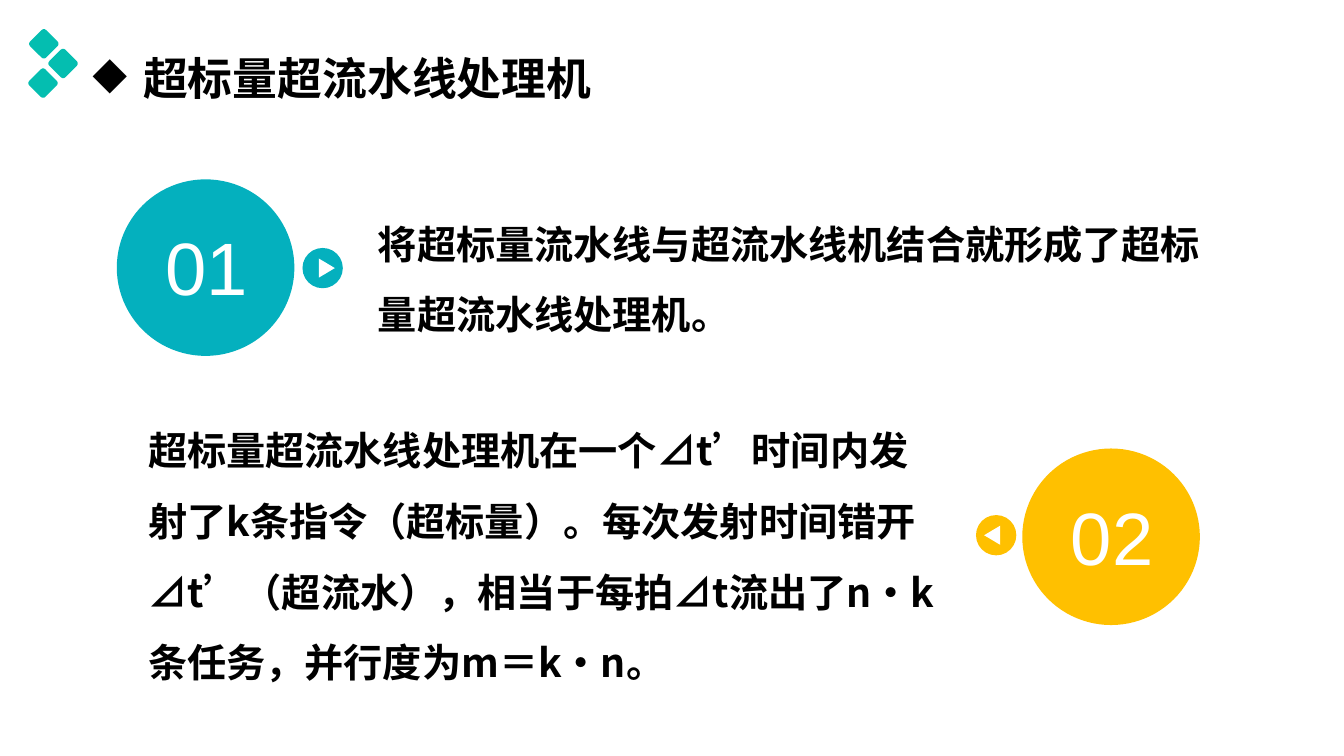
from lxml.etree import SubElement
from pptx import Presentation
from pptx.dml.color import RGBColor
from pptx.enum.shapes import MSO_SHAPE
from pptx.enum.text import MSO_ANCHOR, PP_ALIGN
from pptx.oxml.ns import qn
from pptx.util import Inches, Pt

WIDE, HIGH = Inches(13.33), Inches(7.5)
HUES = {"ink": "000000", "white": "FFFFFF", "teal": "04B0BE",
        "gold": "FFC000", "mint": "04BEB0"}
HAN = "Noto Sans CJK SC"


def area(left, top, width, height):
    return [round(WIDE * left / 100), round(HIGH * top / 100),
            round(WIDE * width / 100), round(HIGH * height / 100)]


def tint(hue):
    return RGBColor.from_string(HUES[hue])


def write(frame, text, size=28, font=HAN, hue="ink", bold=True,
          align=PP_ALIGN.LEFT, gap=1.5, mark=None):
    frame.word_wrap = True
    para = frame.paragraphs[0]
    if mark:
        props = para._p.get_or_add_pPr()
        props.set("marL", str(Inches(0.5)))
        props.set("indent", str(-Inches(0.5)))
        SubElement(props, qn("a:buChar")).set("char", mark)
    para.alignment = align
    para.line_spacing = gap
    para.space_before = Pt(0)
    run = para.add_run()
    run.text = text
    run.font.size = Pt(size)
    run.font.name = font
    run.font.bold = bold
    run.font.color.rgb = tint(hue)
    SubElement(run._r.get_or_add_rPr(), qn("a:ea")).set("typeface", font)


def label(slide, box, text, **form):
    write(slide.shapes.add_textbox(*area(*box)).text_frame, text, **form)


def solid(slide, kind, box, hue, turn=0, edge=0):
    shape = slide.shapes.add_shape(kind, *area(*box))
    shape.shadow.inherit = False
    shape.fill.solid()
    shape.fill.fore_color.rgb = tint(hue)
    shape.rotation = turn
    if edge:
        shape.line.color.rgb = tint(hue)
        shape.line.width = Pt(edge)
    else:
        shape.line.fill.background()
    return shape


def disc(slide, left, top, text, hue):
    solid(slide, MSO_SHAPE.OVAL, (left, top, 12.9, 22.8), hue, edge=3)
    label(slide, (left + 1.95, top + 4.67, 9.15, 13.2), text, size=53,
          font="Arial", hue="white", bold=False, align=PP_ALIGN.CENTER, gap=1)


def badge(slide, left, top, hue, way):
    solid(slide, MSO_SHAPE.OVAL, (left, top, 3, 5.33), hue)
    solid(slide, MSO_SHAPE.ISOSCELES_TRIANGLE,
          (left + 0.79 + 0.3 * way, top + 1.6, 1.43, 2.13), "white", turn=90 * way)


def tiles(slide):
    for row, left in enumerate((2.42, 3.85, 2.36)):
        tile = solid(slide, MSO_SHAPE.ROUNDED_RECTANGLE,
                     (left, 4.3 + 2.6 * row, 1.69, 3), "mint", turn=45)
        tile.adjustments[0] = 0.14


def head(slide, text):
    title = slide.shapes.title
    title.left, title.top, title.width, title.height = area(6.15, -1.2, 86.27, 19.33)
    title.text_frame.vertical_anchor = MSO_ANCHOR.MIDDLE
    write(title.text_frame, text, size=32, mark="◆")


def main():
    deck = Presentation()
    deck.slide_width, deck.slide_height = WIDE, HIGH
    slide = deck.slides.add_slide(deck.slide_layouts[5])
    head(slide, "超标量超流水线处理机")
    disc(slide, 8.85, 24, "01", "teal")
    badge(slide, 22.51, 32.8, "teal", 1)
    label(slide, (27.38, 25.33, 65.04, 20.13),
          "将超标量流水线与超流水线机结合就形成了超标量超流水线处理机。")
    label(slide, (10.28, 52.67, 60.17, 39.87),
          "超标量超流水线处理机在一个⊿t’时间内发射了k条指令（超标量）。"
          "每次发射时间错开⊿t’（超流水），相当于每拍⊿t流出了n·k条任务，"
          "并行度为m＝k·n。")
    disc(slide, 76.22, 59.6, "02", "gold")
    badge(slide, 72.62, 68.13, "gold", -1)
    tiles(slide)
    deck.save("out.pptx")


if __name__ == "__main__":
    main()
